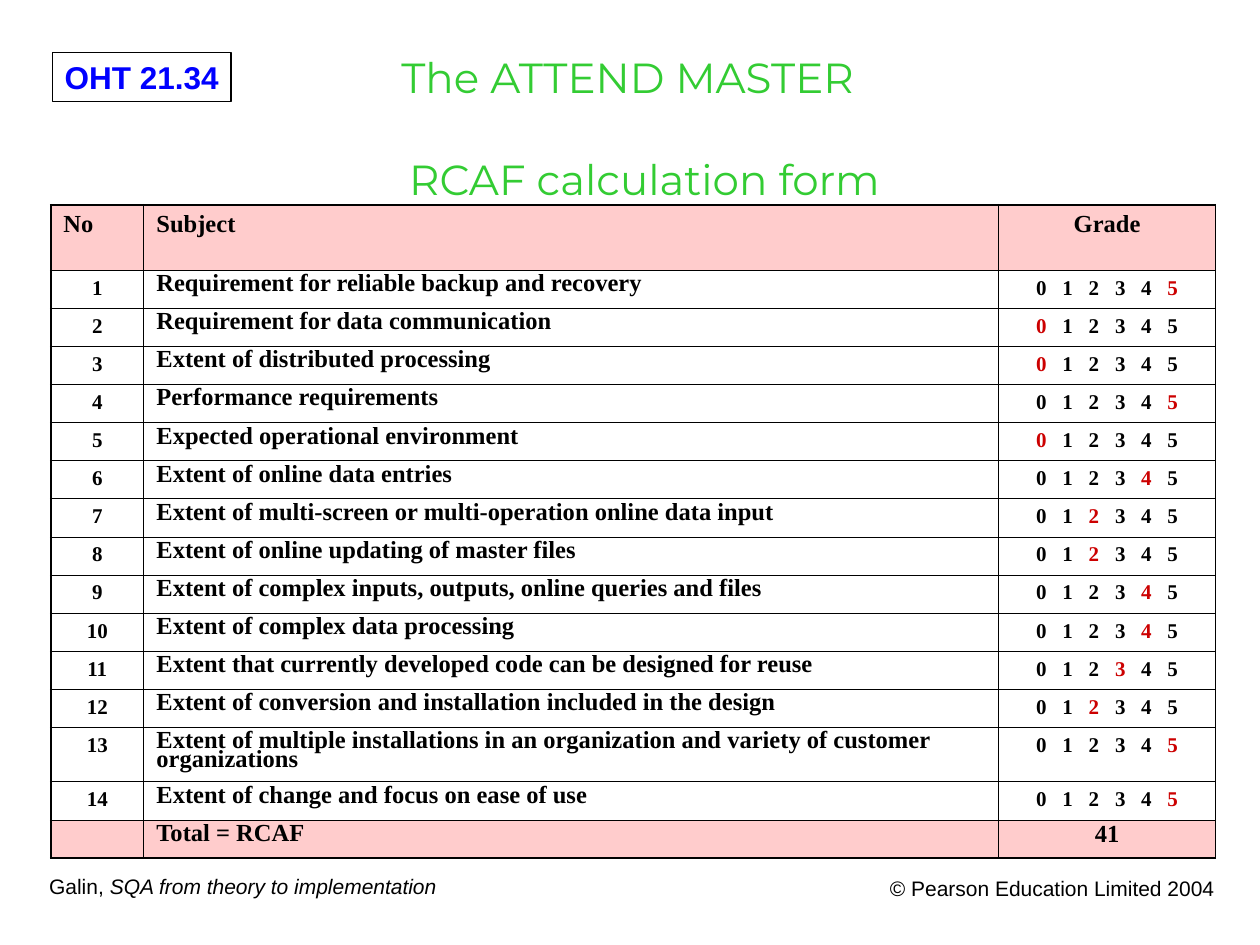
from lxml.etree import SubElement as Sub
from pptx import Presentation
from pptx.dml.color import RGBColor as RGB
from pptx.enum.shapes import MSO_SHAPE as Shape
from pptx.enum.text import MSO_ANCHOR as Anchor, MSO_AUTO_SIZE as Auto, PP_ALIGN as Align
from pptx.oxml.ns import qn
from pptx.util import Pt

HEX = {"black": "000000", "blue": "0000FF", "green": "33CC33", "red": "CC0000", "pink": "FFCCCC"}
SERIF = "Times New Roman"

ROWS = [
    ("Requirement for reliable backup and recovery", 5),
    ("Requirement for data communication", 0),
    ("Extent of distributed processing", 0),
    ("Performance requirements", 5),
    ("Expected operational environment", 0),
    ("Extent of online data entries", 4),
    ("Extent of multi-screen or multi-operation online data input", 2),
    ("Extent of online updating of master files", 2),
    ("Extent of complex inputs, outputs, online queries and files", 4),
    ("Extent of complex data processing", 4),
    ("Extent that currently developed code can be designed for reuse", 3),
    ("Extent of conversion and installation included in the design", 2),
    ("Extent of multiple installations in an organization and variety of customer organizations", 5),
    ("Extent of change and focus on ease of use", 5),
]


def add_run(para, text, size, face, color="black", bold=False, italic=False):
    run = para.add_run()
    run.text = text
    font = run.font
    font.size, font.name, font.bold, font.italic = Pt(size), face, bold, italic
    font.color.rgb = RGB.from_string(HEX[color])


def add_edge(cell, side, width):
    """Draw one border of a cell; side is L, R, T or B."""
    line = Sub(cell._tc.get_or_add_tcPr(), qn("a:ln" + side), w=str(Pt(width)))
    Sub(Sub(line, qn("a:solidFill")), qn("a:srgbClr"), val=HEX["black"])


deck = Presentation()
deck.slide_width, deck.slide_height = Pt(720), Pt(540)
slide = deck.slides.add_slide(deck.slide_layouts[5])
shapes = slide.shapes

# Number of the slide
badge = shapes.add_shape(Shape.RECTANGLE, Pt(30), Pt(30), Pt(102), Pt(28.2))
badge.shadow.inherit = False
badge.fill.background()
badge.line.color.rgb = RGB.from_string(HEX["black"])
badge.line.width = Pt(0.75)
badge.text_frame.word_wrap = False
para = badge.text_frame.paragraphs[0]
para.alignment = Align.CENTER
add_run(para, "OHT 21.34", 18, "Arial", "blue", bold=True)

# Footer
source = shapes.add_textbox(Pt(21), Pt(495.4), Pt(236), Pt(21.6))
para = source.text_frame.paragraphs[0]
add_run(para, "Galin, ", 12, "Arial")
add_run(para, "SQA from theory to implementation", 12, "Arial", italic=True)

rights = shapes.add_textbox(Pt(478), Pt(497), Pt(223.2), Pt(28))
rights.text_frame.word_wrap = True
para = rights.text_frame.paragraphs[0]
para.alignment = Align.RIGHT
add_run(para, "© Pearson Education Limited 2004", 12, "Arial")

# Form
last = len(ROWS) + 1
frame = shapes.add_table(last + 1, 3, Pt(29), Pt(117), Pt(665.6), Pt(373.4))
table = frame.table
table.first_row = table.horz_banding = False
for col, width in zip(table.columns, (53.2, 488.6, 123.8)):
    col.width = Pt(width)
for row in table.rows:
    row.height = Pt(21.78)
table.rows[0].height = Pt(37.4)
table.rows[13].height = Pt(31.1)

for r in range(last + 1):
    for c in range(3):
        cell = table.cell(r, c)
        outer = {"L": c == 0, "R": c == 2, "T": r == 0, "B": r == last}
        for side, edge in outer.items():
            add_edge(cell, side, 1.08 if edge else 0.45)
        if r in (0, last):
            cell.fill.solid()
            cell.fill.fore_color.rgb = RGB.from_string(HEX["pink"])
        else:
            cell.fill.background()

for c, head in enumerate(("No", "Subject", "Grade")):
    para = table.cell(0, c).text_frame.paragraphs[0]
    para.alignment = Align.CENTER if c == 2 else Align.LEFT
    add_run(para, head, 14, SERIF, bold=True)

for r, (topic, grade) in enumerate(ROWS, 1):
    para = table.cell(r, 0).text_frame.paragraphs[0]
    para.alignment = Align.CENTER
    add_run(para, str(r), 12, SERIF, bold=True)

    para = table.cell(r, 1).text_frame.paragraphs[0]
    para.line_spacing = 0.7
    add_run(para, topic, 14, SERIF, bold=True)

    cell = table.cell(r, 2)
    cell.margin_left = Pt(21.4)
    para = cell.text_frame.paragraphs[0]
    tabs = Sub(para._p.get_or_add_pPr(), qn("a:tabLst"))
    for mark in range(6):
        if mark:
            Sub(tabs, qn("a:tab"), pos=str(Pt(15 * mark)), algn="l")
        text = f"\t{mark}" if mark else "0"
        add_run(para, text, 12, SERIF, "red" if mark == grade else "black", bold=True)

blank = table.cell(last, 0).text_frame.paragraphs[0]
Sub(blank._p, qn("a:endParaRPr"), sz="1200")
para = table.cell(last, 1).text_frame.paragraphs[0]
para.line_spacing = 0.7
add_run(para, "Total = RCAF", 14, SERIF, bold=True)
para = table.cell(last, 2).text_frame.paragraphs[0]
para.alignment = Align.CENTER
para.line_spacing = 0.75
add_run(para, str(sum(grade for _, grade in ROWS)), 14, SERIF, bold=True)

# Title in two parts
title = shapes.title
title.left, title.top, title.width, title.height = Pt(143.3), Pt(26), Pt(430.6), Pt(37.4)
below = shapes.add_textbox(Pt(221.8), Pt(84.2), Pt(293), Pt(25.2))
for box, text in ((title, "The ATTEND MASTER"), (below, "RCAF calculation form")):
    body = box.text_frame
    body.word_wrap = True
    body.auto_size = Auto.NONE
    body.vertical_anchor = Anchor.TOP
    para = body.paragraphs[0]
    para.alignment = Align.CENTER
    add_run(para, text, 24, "Montserrat", "green")

deck.save("out.pptx")
